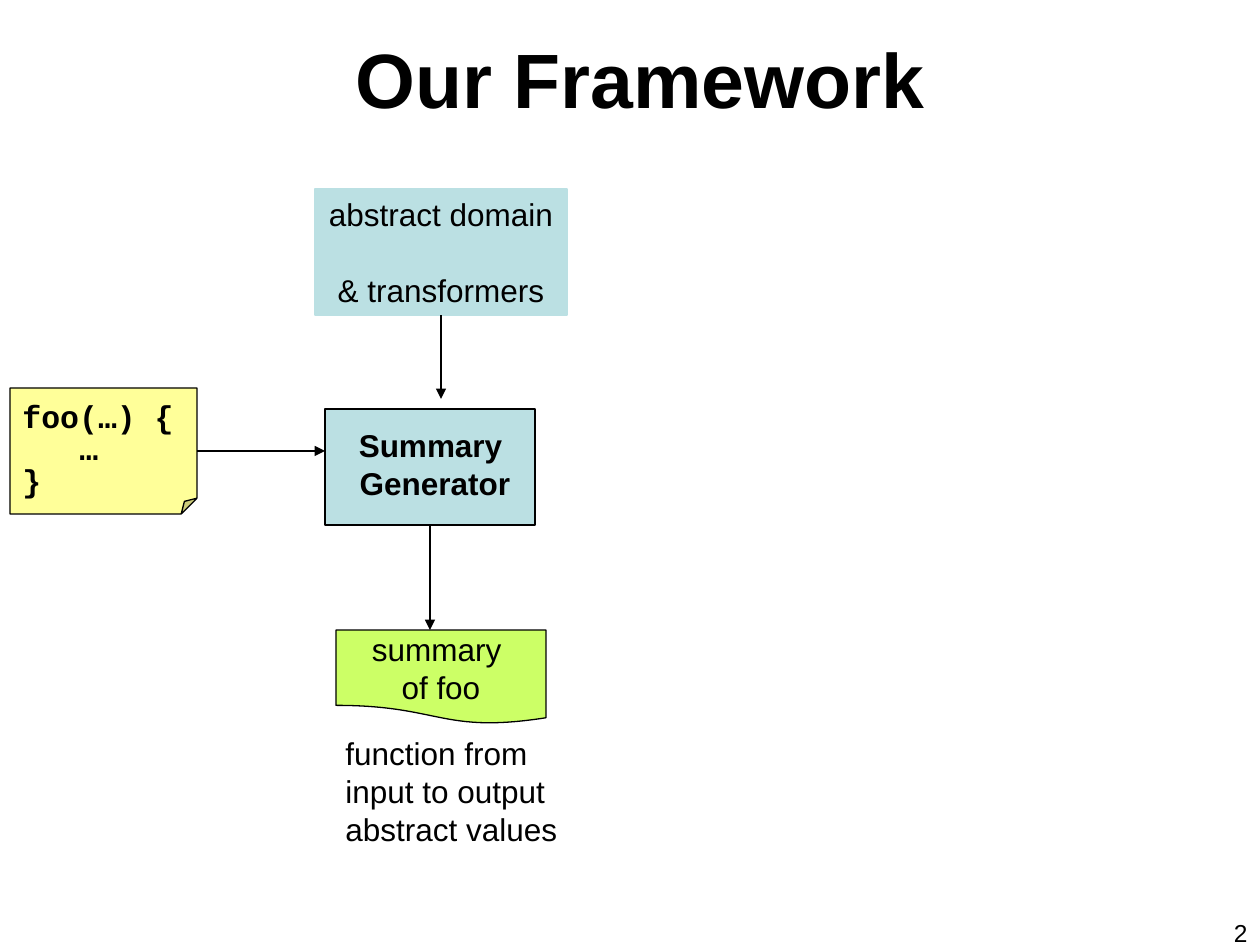
from lxml.etree import SubElement
from pptx import Presentation
from pptx.dml.color import RGBColor
from pptx.enum.shapes import MSO_CONNECTOR, MSO_SHAPE
from pptx.enum.text import MSO_ANCHOR, MSO_AUTO_SIZE, PP_ALIGN
from pptx.oxml.ns import qn
from pptx.util import Emu, Pt

PX_PER_INCH = 126
BLACK, BLUE, YELLOW, GREEN = "000000", "BBE0E3", "FFFF99", "CCFF66"
BOTTOM, RIGHT = 2, 3


def px(n):
    return Emu(round(n * 914400 / PX_PER_INCH))


def rgb(hex_color):
    return RGBColor.from_string(hex_color)


def write(tf, text, size=18, font="Arial", bold=False, align=PP_ALIGN.LEFT,
          anchor=MSO_ANCHOR.TOP, wrap=True, grow=False, spacing=None, before=None):
    """Fill a text frame: \\n starts a paragraph, \\v breaks a line."""
    tf.word_wrap = wrap
    tf.auto_size = MSO_AUTO_SIZE.SHAPE_TO_FIT_TEXT if grow else MSO_AUTO_SIZE.NONE
    tf.vertical_anchor = anchor
    tf.text = text
    for p in tf.paragraphs:
        p.alignment = align
        p.line_spacing = spacing
        p.space_before = before
        for r in p.runs:
            r.font.size, r.font.name, r.font.bold = Pt(size), font, bold
            r.font.color.rgb = rgb(BLACK)


class Deck:
    line_width = Pt(0.75)

    def __init__(self, width, height):
        self.prs = Presentation()
        self.prs.slide_width, self.prs.slide_height = px(width), px(height)
        self.s = self.prs.slides.add_slide(self.prs.slide_layouts[6])

    def text(self, x, y, w, h, text, **fmt):
        sp = self.s.shapes.add_textbox(px(x), px(y), px(w), px(h))
        write(sp.text_frame, text, **fmt)
        return sp

    def shape(self, kind, x, y, w, h, fill, line=BLACK, text=None, flip=False, **fmt):
        sp = self.s.shapes.add_shape(kind, px(x), px(y), px(w), px(h))
        sp.shadow.inherit = False
        sp.fill.solid()
        sp.fill.fore_color.rgb = rgb(fill)
        sp.line.color.rgb = rgb(line)
        sp.line.width = self.line_width
        if flip:
            sp.element.spPr.find(qn("a:xfrm")).set("flipH", "1")
        if text:
            write(sp.text_frame, text, align=PP_ALIGN.CENTER,
                  anchor=MSO_ANCHOR.MIDDLE, **fmt)
        return sp

    def arrow(self, x1, y1, x2, y2, source, side):
        """Arrow that starts joined to a side of the source shape."""
        c = self.s.shapes.add_connector(MSO_CONNECTOR.STRAIGHT, px(x1), px(y1), px(x2), px(y2))
        c.begin_connect(source, side)
        c.line.color.rgb = rgb(BLACK)
        c.line.width = self.line_width
        spPr = c.element.spPr
        SubElement(spPr.find(qn("a:ln")), qn("a:tailEnd"), type="triangle")
        SubElement(spPr, qn("a:effectLst"))


def main():
    deck = Deck(1260, 945)
    generator = deck.shape(MSO_SHAPE.RECTANGLE, 325, 409, 210, 116, BLUE)
    deck.text(42, 10, 1197, 136, "Our Framework", size=44, bold=True,
              align=PP_ALIGN.CENTER, anchor=MSO_ANCHOR.MIDDLE)

    domain = deck.shape(MSO_SHAPE.RECTANGLE, 315, 189, 252, 126, BLUE, line=BLUE,
                        text="abstract domain \v& transformers")
    deck.arrow(441, 315, 441, 399, domain, BOTTOM)
    deck.text(346, 420, 178, 88, "Summary \vGenerator", bold=True,
              align=PP_ALIGN.CENTER, wrap=False, grow=True)

    code = deck.shape(MSO_SHAPE.FOLDED_CORNER, 10, 388, 187, 126, YELLOW)
    fold = code.element.spPr.find(qn("a:prstGeom")).get_or_add_avLst()
    SubElement(fold, qn("a:gd"), name="adj", fmla="val 12500")
    listing = deck.text(10, 403, 197, 96, "foo(…) {\n…\n}", font="Courier New",
                        bold=True, anchor=MSO_ANCHOR.MIDDLE, spacing=0.85)
    body = listing.text_frame.paragraphs[1]
    body._p.get_or_add_pPr().set("marL", str(px(57)))
    deck.arrow(197, 451, 325, 451, code, RIGHT)

    deck.shape(MSO_SHAPE.FLOWCHART_DOCUMENT, 336, 630, 210, 94, GREEN,
               text="summary \vof foo", flip=True, wrap=False)
    deck.arrow(430, 525, 430, 630, generator, BOTTOM)
    deck.text(333, 728, 247, 126, "function from \vinput to output \vabstract values",
              grow=True, before=Pt(11.2))
    deck.text(966, 912, 294, 66, "2", size=14, align=PP_ALIGN.RIGHT)

    deck.prs.save("out.pptx")


if __name__ == "__main__":
    main()
